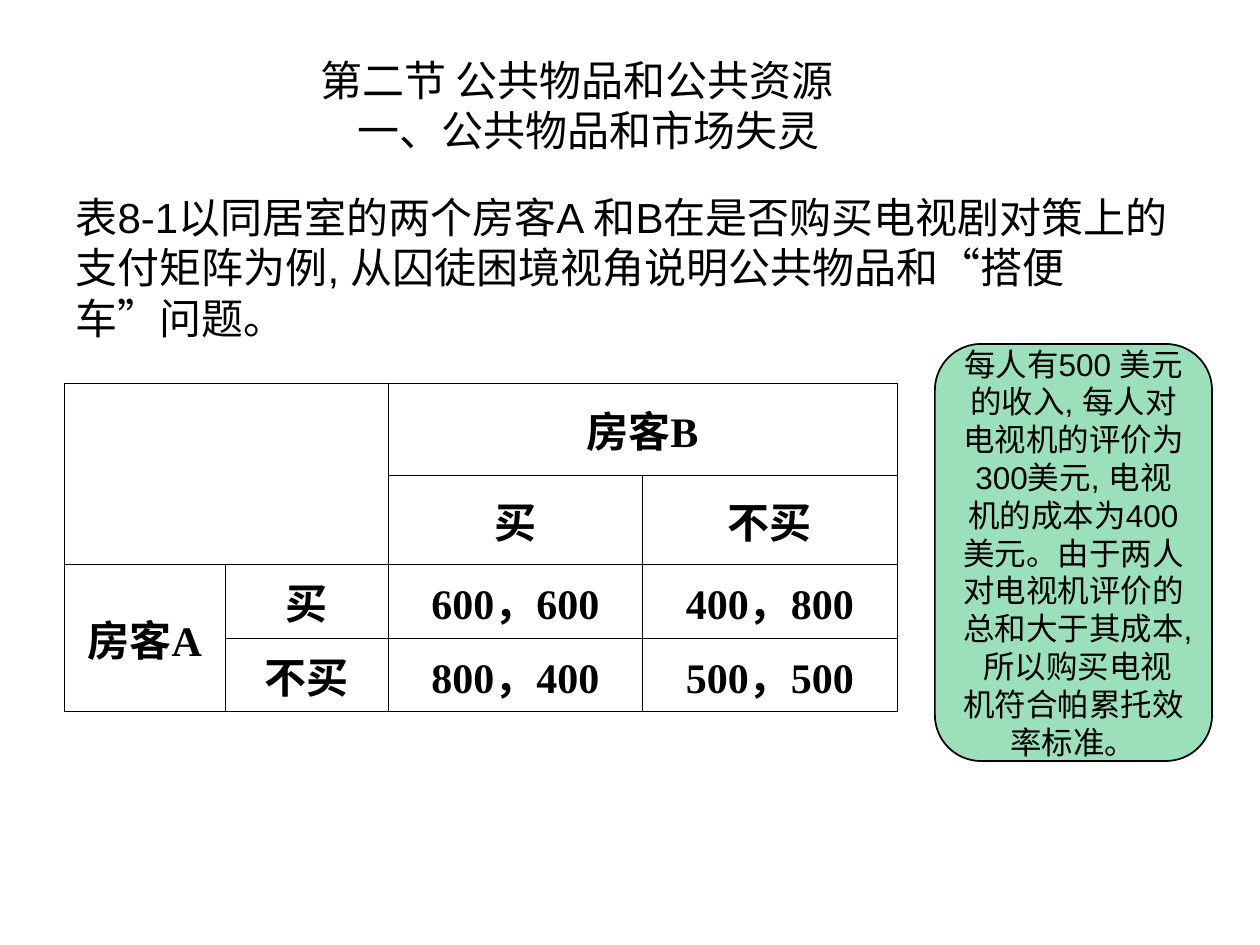
from lxml import etree
from pptx import Presentation
from pptx.dml.color import RGBColor as RGB
from pptx.enum.shapes import MSO_SHAPE as SHAPE
from pptx.enum.text import MSO_ANCHOR as ANCHOR, MSO_AUTO_SIZE as AUTO, PP_ALIGN as ALIGN
from pptx.oxml import parse_xml
from pptx.oxml.ns import nsdecls, qn
from pptx.util import Inches, Pt

COLORS = {"ink": "000000", "note": "00B050"}


def style(par, size, font, align, bold=False):
    par.alignment = align
    par.space_before = Pt(0)
    par.font.size, par.font.name, par.font.bold = Pt(size), font, bold
    par.font.color.rgb = RGB.from_string(COLORS["ink"])


def indent(par, left):
    props = par._p.get_or_add_pPr()
    props.set("marL", str(Inches(left)))
    props.set("indent", "0")


def place(shape, box):
    shape.left, shape.top, shape.width, shape.height = map(Inches, box)
    frame = shape.text_frame
    frame.word_wrap, frame.auto_size = True, AUTO.NONE
    return frame


def add_title(slide, box):
    frame = place(slide.shapes.title, box)
    frame.vertical_anchor = ANCHOR.MIDDLE
    frame.text = "第二节 公共物品和公共资源\n一、公共物品和市场失灵"
    for par, left in zip(frame.paragraphs, (1.94, 2.24)):
        style(par, 24, "Noto Sans CJK SC", ALIGN.LEFT)
        indent(par, left)


def add_body(slide, box):
    frame = place(slide.placeholders[1], box)
    frame.vertical_anchor = ANCHOR.TOP
    frame.text = ("表8-1以同居室的两个房客A 和B在是否购买电视剧对策上的支付矩阵为例, "
                  "从囚徒困境视角说明公共物品和“搭便车”问题。")
    par = frame.paragraphs[0]
    indent(par, 0)
    etree.SubElement(par._p.get_or_add_pPr(), qn("a:buNone"))
    style(par, 24, "Arial", ALIGN.LEFT)


def add_borders(cell):
    props = cell._tc.get_or_add_tcPr()
    for spot, side in enumerate("LRTB"):
        props.insert(spot, parse_xml(
            f'<a:ln{side} {nsdecls("a")} w="{Pt(0.45)}"><a:solidFill>'
            f'<a:srgbClr val="{COLORS["ink"]}"/></a:solidFill></a:ln{side}>'))


def add_matrix(slide, box):
    rows = [["", "", "房客B", ""],
            ["", "", "买", "不买"],
            ["房客A", "买", "600，600", "400，800"],
            ["", "不买", "800，400", "500，500"]]
    table = slide.shapes.add_table(4, 4, *map(Inches, box)).table
    table.first_row = table.horz_banding = False
    for col, width in zip(table.columns, (1.28, 1.29, 2.02, 2.02)):
        col.width = Inches(width)
    for row, height in zip(table.rows, (0.73, 0.71, 0.5, 0.5)):
        row.height = Inches(height)
    for r, row in enumerate(rows):
        for c, text in enumerate(row):
            cell = table.cell(r, c)
            cell.fill.background()
            add_borders(cell)
            cell.vertical_anchor = ANCHOR.MIDDLE
            cell.text = text
            style(cell.text_frame.paragraphs[0], 24, "Times New Roman", ALIGN.CENTER, True)
    # Merged headings: corner, column player, row player
    for first, last in (((0, 0), (1, 1)), ((0, 2), (0, 3)), ((2, 0), (3, 0))):
        table.cell(*first).merge(table.cell(*last))


def add_note(slide, box):
    note = slide.shapes.add_shape(SHAPE.ROUNDED_RECTANGLE, *map(Inches, box))
    note.shadow.inherit = False
    note.fill.solid()
    note.fill.fore_color.rgb = RGB.from_string(COLORS["note"])
    shade = note._element.spPr.find(qn("a:solidFill"))[0]
    etree.SubElement(shade, qn("a:alpha")).set("val", "39000")
    note.line.color.rgb = RGB.from_string(COLORS["ink"])
    note.line.width = Pt(1)
    frame = place(note, box)
    frame.vertical_anchor = ANCHOR.MIDDLE
    frame.text = ("每人有500 美元的收入, 每人对电视机的评价为300美元, "
                  "电视机的成本为400 美元。由于两人对电视机评价的总和大于其成本, "
                  "所以购买电视机符合帕累托效率标准。")
    style(frame.paragraphs[0], 18, "Arial", ALIGN.CENTER)


def main():
    deck = Presentation()
    deck.slide_width, deck.slide_height = Inches(10), Inches(7.5)
    slide = deck.slides.add_slide(deck.slide_layouts[1])
    add_title(slide, (0.5, 0.36, 9, 0.94))
    add_body(slide, (0.5, 1.47, 9, 1.7))
    add_matrix(slide, (0.51, 3.04, 6.61, 2.45))
    add_note(slide, (7.42, 2.73, 2.2, 3.31))
    deck.save("out.pptx")


if __name__ == "__main__":
    main()
